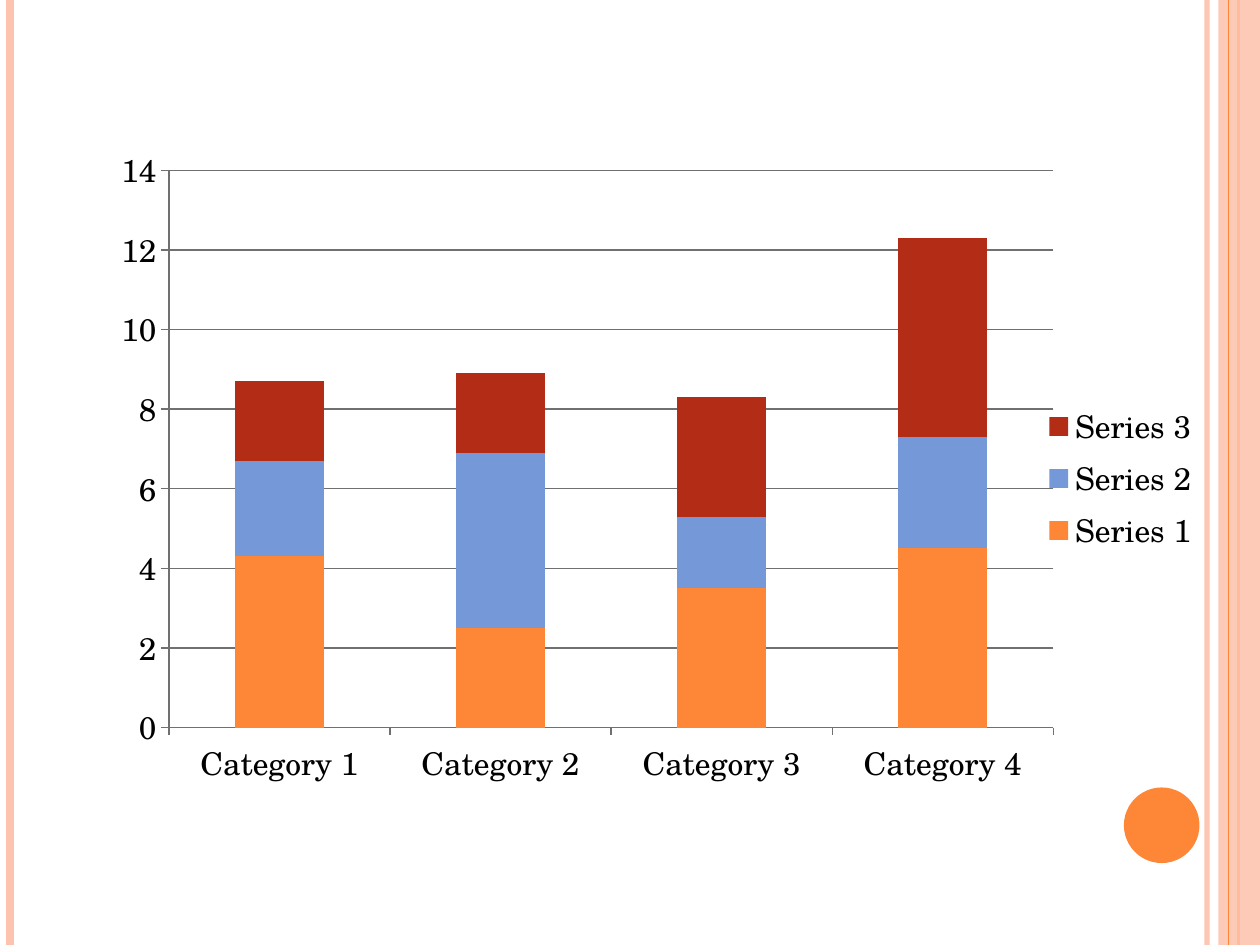
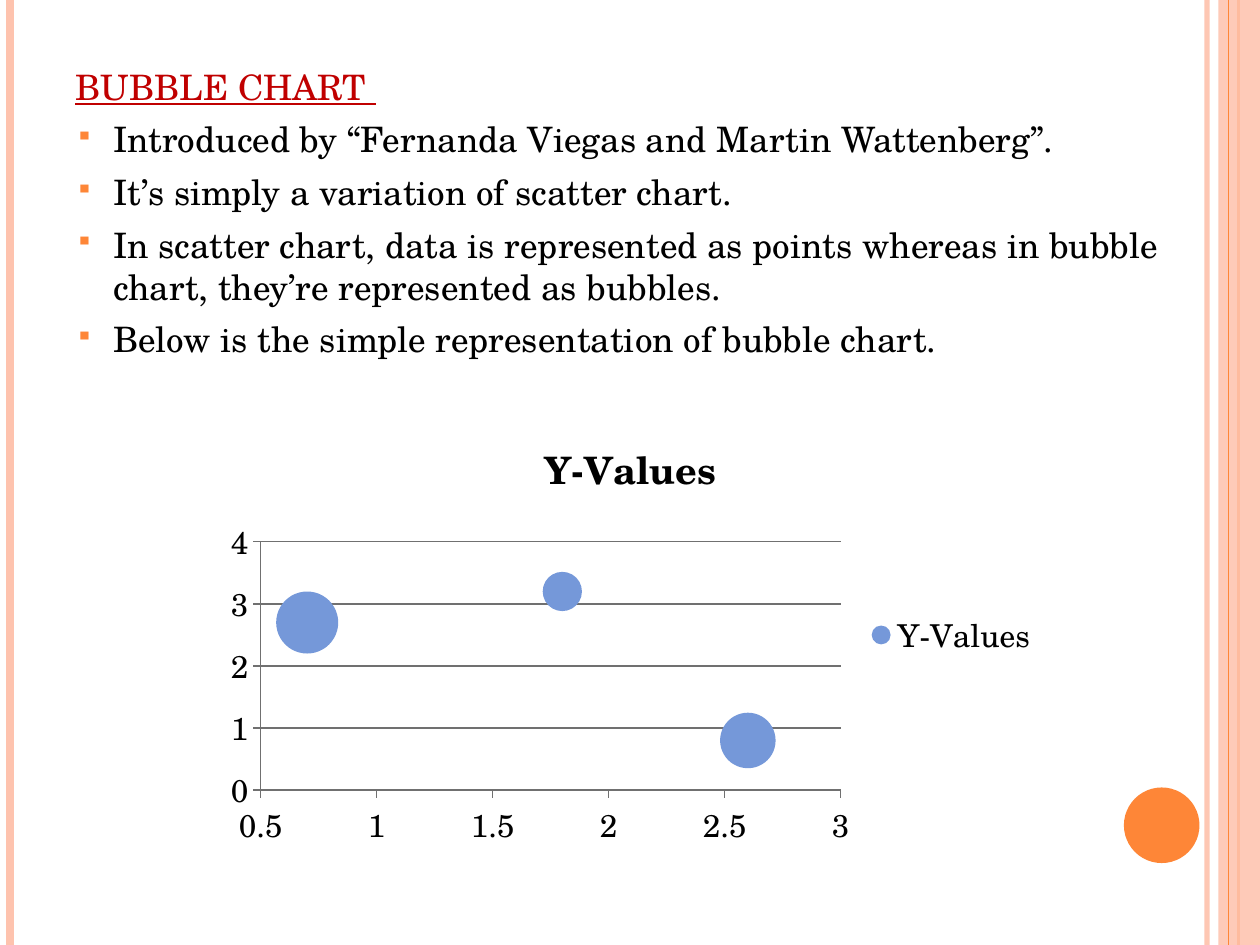
from lxml import etree
from pptx import Presentation
from pptx.chart.data import BubbleChartData, CategoryChartData
from pptx.dml.color import RGBColor
from pptx.enum.chart import XL_CHART_TYPE, XL_LEGEND_POSITION, XL_TICK_MARK
from pptx.enum.shapes import MSO_CONNECTOR, MSO_SHAPE
from pptx.oxml import parse_xml
from pptx.oxml.ns import nsdecls, qn
from pptx.util import Inches, Pt

STACKED, BUBBLE = XL_CHART_TYPE.COLUMN_STACKED, XL_CHART_TYPE.BUBBLE
LEGEND_RIGHT = XL_LEGEND_POSITION.RIGHT
TICK_OUTSIDE = XL_TICK_MARK.OUTSIDE
STRAIGHT = MSO_CONNECTOR.STRAIGHT
RECTANGLE, OVAL = MSO_SHAPE.RECTANGLE, MSO_SHAPE.OVAL

ORANGE = RGBColor(0xFE, 0x86, 0x37)
PEACH = RGBColor(0xFE, 0xC3, 0xAE)
BLUE = RGBColor(0x75, 0x98, 0xD9)
BRICK = RGBColor(0xB3, 0x2C, 0x16)
RED = RGBColor(0xC0, 0x00, 0x00)
BLACK = RGBColor(0, 0, 0)
GRAY = RGBColor(0x70, 0x70, 0x70)
FONT = "TeX Gyre Schola"
WIDTH, HEIGHT = 10, 7.5

# Content
CATEGORIES = ["Category 1", "Category 2", "Category 3", "Category 4"]
COLUMN_SERIES = [
    ("Series 1", [4.3, 2.5, 3.5, 4.5], ORANGE),
    ("Series 2", [2.4, 4.4, 1.8, 2.8], BLUE),
    ("Series 3", [2, 2, 3, 5], BRICK),
]
BUBBLE_NAME = "Y-Values"
BUBBLES = [(0.7, 2.7, 10), (1.8, 3.2, 4), (2.6, 0.8, 8)]  # x, y, size
HEADING = "BUBBLE CHART "
POINTS = [
    "Introduced by “Fernanda Viegas and Martin Wattenberg”.",
    "It’s simply a variation of scatter chart.",
    "In scatter chart, data is represented as points whereas in bubble chart, "
    "they’re represented as bubbles.",
    "Below is the simple representation of bubble chart.",
]

# Shared decoration: x, colour, width in points, opacity in percent
RULES_BEHIND = [(9.58, PEACH, 3, 93), (0.08, PEACH, 4.5, 100), (9.83, ORANGE, 1.5, 100)]
RULES_FRONT = [(9.75, ORANGE, 0.75, 100)]


def set_opacity(properties, percent):
    color = properties.find(".//" + qn("a:srgbClr"))
    etree.SubElement(color, qn("a:alpha")).set("val", str(percent * 1000))


def add_rules(slide, rules):
    for x, color, width, opacity in rules:
        rule = slide.shapes.add_connector(STRAIGHT, Inches(x), 0, Inches(x), Inches(HEIGHT))
        rule.line.color.rgb = color
        rule.line.width = Pt(width)
        properties = rule.element.spPr
        etree.SubElement(properties, qn("a:effectLst"))
        if opacity < 100:
            set_opacity(properties, opacity)


def add_filled(slide, kind, box, color):
    shape = slide.shapes.add_shape(kind, *map(Inches, box))
    shape.shadow.inherit = False
    shape.fill.solid()
    shape.fill.fore_color.rgb = color
    shape.line.fill.background()
    return shape


def new_slide(presentation):
    slide = presentation.slides.add_slide(presentation.slide_layouts[6])
    add_rules(slide, RULES_BEHIND)
    band = add_filled(slide, RECTANGLE, (9.67, 0, 0.33, HEIGHT), PEACH)
    set_opacity(band.element.spPr, 87)
    add_rules(slide, RULES_FRONT)
    add_filled(slide, OVAL, (8.92, 6.25, 0.6, 0.6), ORANGE)
    return slide


def style_font(font, size, color=BLACK):
    font.name = FONT
    font.size = Pt(size)
    font.color.rgb = color


def place_plot(chart, box):
    plot_area = chart.element.find(".//" + qn("c:plotArea"))
    for layout in plot_area.findall(qn("c:layout")):
        plot_area.remove(layout)
    places = "".join(f'<c:{name} val="{value}"/>' for name, value in zip("xywh", box))
    plot_area.insert(0, parse_xml(
        f'<c:layout {nsdecls("c")}><c:manualLayout><c:layoutTarget val="inner"/>'
        f'<c:xMode val="edge"/><c:yMode val="edge"/>{places}</c:manualLayout></c:layout>'))


def set_scale(axis, low, high, step):
    axis.minimum_scale, axis.maximum_scale, axis.major_unit = low, high, step


def add_chart(slide, kind, box, data, colors, plot_box):
    chart = slide.shapes.add_chart(kind, *map(Inches, box), data).chart
    style_font(chart.font, 18)
    chart.has_title = False
    chart.has_legend = True
    chart.legend.position = LEGEND_RIGHT
    chart.legend.include_in_layout = False
    place_plot(chart, plot_box)
    for axis in (chart.category_axis, chart.value_axis):
        axis.major_tick_mark = TICK_OUTSIDE
        axis.format.line.color.rgb = GRAY
        axis.has_major_gridlines = False
    chart.value_axis.major_gridlines.format.line.color.rgb = GRAY
    for vary_colors in chart.element.iter(qn("c:varyColors")):
        vary_colors.set("val", "0")
    for series, color in zip(chart.plots[0].series, colors):
        series.format.fill.solid()
        series.format.fill.fore_color.rgb = color
    return chart


def add_column_slide(presentation):
    slide = new_slide(presentation)
    data = CategoryChartData()
    data.categories = CATEGORIES
    for name, values, _ in COLUMN_SERIES:
        data.add_series(name, values)
    colors = [color for _, _, color in COLUMN_SERIES]
    chart = add_chart(slide, STACKED, (0.62, 1.17, 9, 5.23), data, colors,
                      (0.08, 0.03, 0.78, 0.85))
    chart.plots[0].overlap = 100
    chart.plots[0].gap_width = 150
    set_scale(chart.value_axis, 0, 14, 2)


def add_bullet(paragraph):
    properties = paragraph._p.get_or_add_pPr()
    color = etree.SubElement(properties, qn("a:buClr"))
    etree.SubElement(color, qn("a:srgbClr")).set("val", str(ORANGE))
    etree.SubElement(properties, qn("a:buSzPct")).set("val", "70000")
    etree.SubElement(properties, qn("a:buChar")).set("char", "▪")


def add_points(slide):
    frame = slide.shapes.add_textbox(*map(Inches, (0.5, 0.47, 9, 6.41))).text_frame
    frame.word_wrap = True
    for index, text in enumerate([HEADING] + POINTS):
        is_heading = index == 0
        paragraph = frame.paragraphs[0] if is_heading else frame.add_paragraph()
        paragraph.space_before = Pt(6)
        properties = paragraph._p.get_or_add_pPr()
        properties.set("marL", str(Inches(0.3)))
        properties.set("indent", str(Inches(-0.3)))
        run = paragraph.add_run()
        run.text = text
        style_font(run.font, 20, RED if is_heading else BLACK)
        run.font.underline = is_heading
        if not is_heading:
            add_bullet(paragraph)


def add_bubble_slide(presentation):
    slide = new_slide(presentation)
    add_points(slide)
    data = BubbleChartData()
    series = data.add_series(BUBBLE_NAME)
    for x, y, size in BUBBLES:
        series.add_data_point(x, y, size)
    chart = add_chart(slide, BUBBLE, (1.67, 3.28, 6.67, 3.52), data, [BLUE],
                      (0.06, 0.29, 0.69, 0.56))
    set_scale(chart.category_axis, 0.5, 3, 0.5)
    set_scale(chart.value_axis, 0, 4, 1)
    chart.has_title = True
    run = chart.chart_title.text_frame.paragraphs[0].add_run()
    run.text = BUBBLE_NAME
    style_font(run.font, 21.6)
    run.font.bold = True


def main():
    presentation = Presentation()
    presentation.slide_width = Inches(WIDTH)
    presentation.slide_height = Inches(HEIGHT)
    add_column_slide(presentation)
    add_bubble_slide(presentation)
    presentation.save("out.pptx")


if __name__ == "__main__":
    main()
